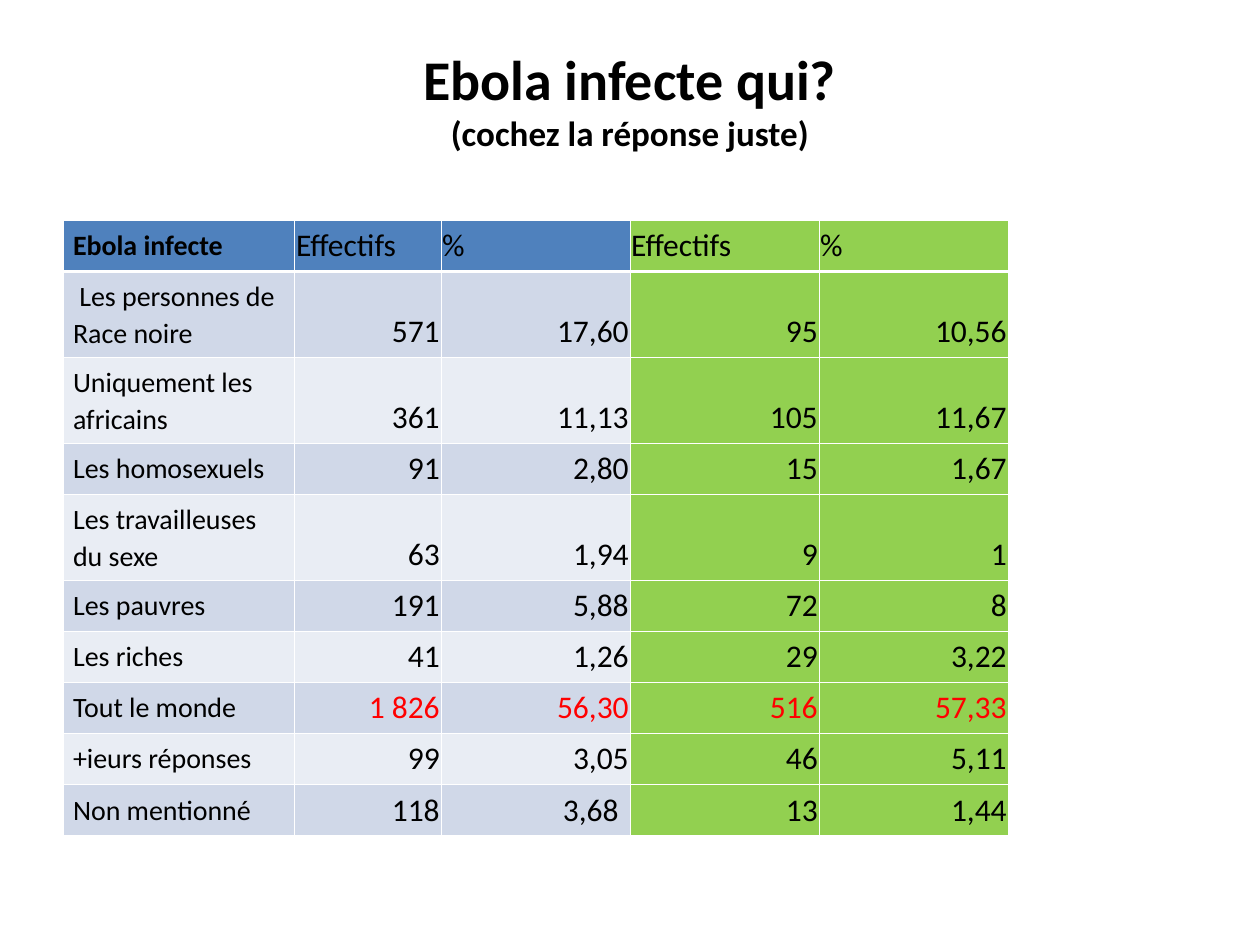
from dataclasses import dataclass

from lxml import etree
from pptx import Presentation
from pptx.dml.color import RGBColor
from pptx.enum.text import MSO_ANCHOR, PP_ALIGN
from pptx.oxml.ns import qn
from pptx.util import Inches, Pt

TOP, BOTTOM = MSO_ANCHOR.TOP, MSO_ANCHOR.BOTTOM
LEFT, CENTER, RIGHT = PP_ALIGN.LEFT, PP_ALIGN.CENTER, PP_ALIGN.RIGHT

# Content
TITLE, SUBTITLE = "Ebola infecte qui?", "(cochez la réponse juste)"
HEADER = ("Ebola infecte", "Effectifs", "%", "Effectifs", "%")
ANSWERS = [
    (" Les personnes de Race noire", "571", "17,60", "95", "10,56"),
    ("Uniquement les africains", "361", "11,13", "105", "11,67"),
    ("Les homosexuels", "91", "2,80", "15", "1,67"),
    ("Les travailleuses du sexe", "63", "1,94", "9", "1"),
    ("Les pauvres", "191", "5,88", "72", "8"),
    ("Les riches", "41", "1,26", "29", "3,22"),
    ("Tout le monde", "1 826", "56,30", "516", "57,33"),
    ("+ieurs réponses", "99", "3,05", "46", "5,11"),
    ("Non mentionné", "118", "3,68", "13", "1,44"),
]
ROWS = [HEADER] + ANSWERS
CORRECT = "Tout le monde"
INSET_VALUE = "3,68"

# Grid, in inches
MARGIN = 0.5
TABLE_TOP = 1.75
COLS = (1.84, 1.16, 1.5, 1.5, 1.5)
ROW, TALL_ROW = 0.4, 0.58
TALL = {1, 2, 4}
SECOND_GROUP = 3  # first column of the second group


@dataclass(frozen=True)
class Theme:
    font: str = "Calibri"
    text: str = "000000"
    correct: str = "FF0000"
    header: str = "4F81BD"
    bands: tuple = ("E9EDF4", "D0D8E8")
    group: str = "92D050"
    border: str = "FFFFFF"
    thin: float = 0.45
    thick: float = 1.47
    title: int = 32
    subtitle: int = 20
    label: int = 16
    value: int = 18


T = Theme()


def add_run(p, text, size, color=T.text, bold=False):
    r = p.add_run()
    r.text = text
    for name, value in dict(name=T.font, size=Pt(size), bold=bold).items():
        setattr(r.font, name, value)
    r.font.color.rgb = RGBColor.from_string(color)


def set_borders(cell, row):
    pr = cell._tc.get_or_add_tcPr()
    widths = dict(lnL=T.thin, lnR=T.thin,
                  lnT=T.thick if row == 1 else T.thin,
                  lnB=T.thick if row == 0 else T.thin)
    for i, (tag, width) in enumerate(widths.items()):
        ln = etree.Element(qn(f"a:{tag}"), w=str(int(Pt(width))))
        fill = etree.SubElement(ln, qn("a:solidFill"))
        etree.SubElement(fill, qn("a:srgbClr"), val=T.border)
        pr.insert(i, ln)


def format_cell(cell, text, row, col):
    is_label, is_header = col == 0, row == 0
    side = 0.08 if is_label else 0.01
    right = 0.09 if text == INSET_VALUE else side
    layout = dict(margin_left=Inches(side), margin_right=Inches(right),
                  margin_top=Inches(0.05), margin_bottom=Inches(0.05),
                  vertical_anchor=TOP if is_label else BOTTOM)
    for name, value in layout.items():
        setattr(cell, name, value)

    if col >= SECOND_GROUP:
        fill = T.group
    else:
        fill = T.header if is_header else T.bands[row % 2]
    cell.fill.solid()
    cell.fill.fore_color.rgb = RGBColor.from_string(fill)
    set_borders(cell, row)

    p = cell.text_frame.paragraphs[0]
    p.alignment = LEFT if is_label or is_header else RIGHT
    if is_label:
        p.line_spacing = 1.07
    correct = ROWS[row][0] == CORRECT and not is_label
    add_run(p, text, T.label if is_label else T.value,
            T.correct if correct else T.text, is_label and is_header)


def add_title(s):
    sp = s.shapes.title
    box = dict(left=MARGIN, top=0.3, width=9, height=1.25)
    for name, value in box.items():
        setattr(sp, name, Inches(value))
    tf = sp.text_frame
    tf.word_wrap = True
    tf.vertical_anchor = TOP
    p = tf.paragraphs[0]
    p.alignment = CENTER
    add_run(p, TITLE, T.title, bold=True)
    p.add_line_break()
    add_run(p, SUBTITLE, T.subtitle, bold=True)


def add_answers(s):
    heights = [TALL_ROW if i in TALL else ROW for i in range(len(ROWS))]
    table = s.shapes.add_table(
        len(ROWS), len(COLS), Inches(MARGIN), Inches(TABLE_TOP),
        Inches(sum(COLS)), Inches(sum(heights))).table
    table.first_row = table.horz_banding = False
    for column, width in zip(table.columns, COLS):
        column.width = Inches(width)
    for i, (values, height) in enumerate(zip(ROWS, heights)):
        table.rows[i].height = Inches(height)
        for j, text in enumerate(values):
            format_cell(table.cell(i, j), text, i, j)


def main():
    prs = Presentation()
    prs.slide_width, prs.slide_height = Inches(10), Inches(7.5)
    s = prs.slides.add_slide(prs.slide_layouts[5])  # title only
    add_title(s)
    add_answers(s)
    prs.save("out.pptx")


if __name__ == "__main__":
    main()
